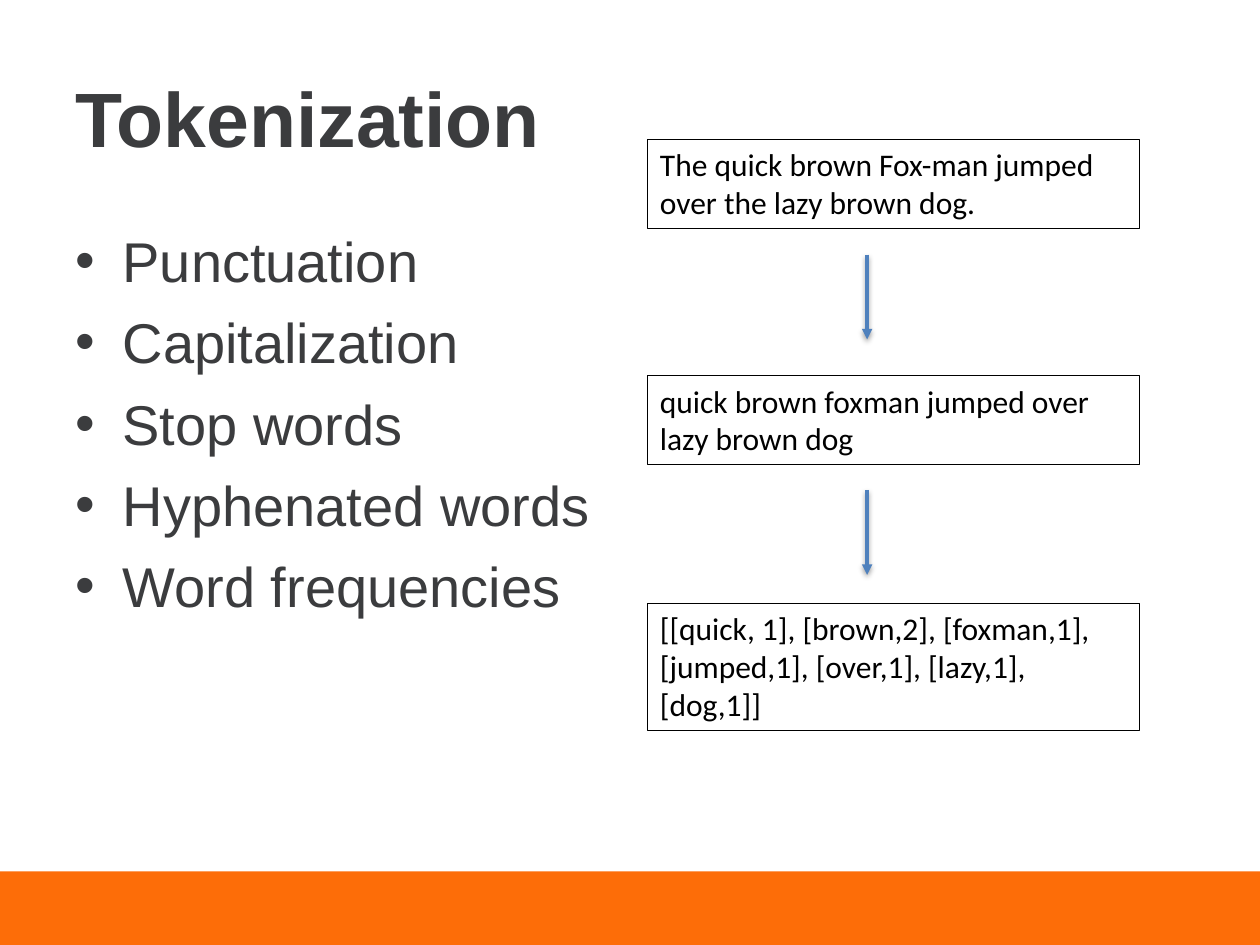
from dataclasses import dataclass

from lxml import etree
from pptx import Presentation
from pptx import util as u
from pptx.dml.color import RGBColor
from pptx.enum import shapes, text
from pptx.oxml import ns

ORANGE = RGBColor(0xFD, 0x6D, 0x08)
CHARCOAL = RGBColor(0x3B, 0x3C, 0x3E)
BLACK = RGBColor(0x00, 0x00, 0x00)
BLUE = RGBColor(0x4F, 0x81, 0xBD)

TITLE_FORMAT = {"name": "Arial", "size": u.Pt(44), "bold": True}
BULLET_FORMAT = {"name": "Arial", "size": u.Pt(32)}
STEP_FORMAT = {"name": "Calibri", "size": u.Pt(18)}

TOPICS = [
    "Punctuation",
    "Capitalization",
    "Stop words",
    "Hyphenated words",
    "Word frequencies",
]
BULLET_INDENT = 27

STEP_LEFT, STEP_WIDTH = 370, 281
ARROW_X, ARROW_LENGTH = 495.5, 48.5


@dataclass
class Step:
    words: str
    top: float
    height: float


STEPS = [
    Step("The quick brown Fox-man jumped over the lazy brown dog.", 79.5, 51),
    Step("quick brown foxman jumped over lazy brown dog", 214.5, 51),
    Step("[[quick, 1], [brown,2], [foxman,1], [jumped,1], [over,1], [lazy,1], [dog,1]]", 344.75, 72.75),
]
ARROW_TOPS = [145.5, 280]


def add_element(parent, tag: str, **attributes: str):
    element = etree.SubElement(parent, ns.qn(tag))
    for name, value in attributes.items():
        element.set(name, value)
    return element


def format_font(font, values: dict, color: RGBColor) -> None:
    for name, value in values.items():
        setattr(font, name, value)
    font.color.rgb = color


def add_text_box(page, left: float, top: float, width: float, height: float):
    box = page.shapes.add_textbox(u.Pt(left), u.Pt(top), u.Pt(width), u.Pt(height))
    box.text_frame.word_wrap = True
    return box


def add_footer(page) -> None:
    band = page.shapes.add_shape(
        shapes.MSO_SHAPE.RECTANGLE, u.Pt(0), u.Pt(498), u.Pt(720), u.Pt(42)
    )
    band.shadow.inherit = False
    band.fill.solid()
    band.fill.fore_color.rgb = ORANGE
    band.line.fill.background()


def add_title(page, words: str) -> None:
    frame = add_text_box(page, 36, 21.6, 648, 90).text_frame
    frame.vertical_anchor = text.MSO_ANCHOR.MIDDLE
    para = frame.paragraphs[0]
    span = para.add_run()
    span.text = words
    format_font(span.font, TITLE_FORMAT, CHARCOAL)


def add_bullets(page, topics: list[str]) -> None:
    frame = add_text_box(page, 36, 126, 648, 356.4).text_frame
    for index, topic in enumerate(topics):
        para = frame.add_paragraph() if index else frame.paragraphs[0]
        if index:
            para.space_before = u.Pt(8)
        properties = para._p.get_or_add_pPr()
        properties.set("marL", str(u.Pt(BULLET_INDENT)))
        properties.set("indent", str(-u.Pt(BULLET_INDENT)))
        add_element(properties, "a:buFont", typeface="Arial")
        add_element(properties, "a:buChar", char="•")
        span = para.add_run()
        span.text = topic
        format_font(span.font, BULLET_FORMAT, CHARCOAL)


def add_step(page, step: Step) -> None:
    box = add_text_box(page, STEP_LEFT, step.top, STEP_WIDTH, step.height)
    box.line.color.rgb = BLACK
    box.line.width = u.Pt(0.75)
    box.text_frame.auto_size = text.MSO_AUTO_SIZE.SHAPE_TO_FIT_TEXT
    span = box.text_frame.paragraphs[0].add_run()
    span.text = step.words
    format_font(span.font, STEP_FORMAT, BLACK)


def add_arrow(page, top: float) -> None:
    arrow = page.shapes.add_connector(
        shapes.MSO_CONNECTOR.STRAIGHT,
        u.Pt(ARROW_X), u.Pt(top), u.Pt(ARROW_X), u.Pt(top + ARROW_LENGTH),
    )
    arrow.line.color.rgb = BLUE
    arrow.line.width = u.Pt(2)
    add_element(arrow.line._get_or_add_ln(), "a:tailEnd", type="triangle")
    effects = add_element(arrow._element.spPr, "a:effectLst")
    shadow = add_element(
        effects, "a:outerShdw", blurRad=str(u.Pt(3.1)), dist=str(u.Pt(1.6)),
        dir="5400000", rotWithShape="0",
    )
    color = add_element(shadow, "a:srgbClr", val=str(BLACK))
    add_element(color, "a:alpha", val="38000")


def main() -> None:
    deck = Presentation()
    deck.slide_width, deck.slide_height = u.Pt(720), u.Pt(540)
    page = deck.slides.add_slide(deck.slide_layouts[6])
    add_footer(page)
    add_title(page, "Tokenization")
    add_bullets(page, TOPICS)
    for step in STEPS:
        add_step(page, step)
    for top in ARROW_TOPS:
        add_arrow(page, top)
    deck.save("out.pptx")


if __name__ == "__main__":
    main()
